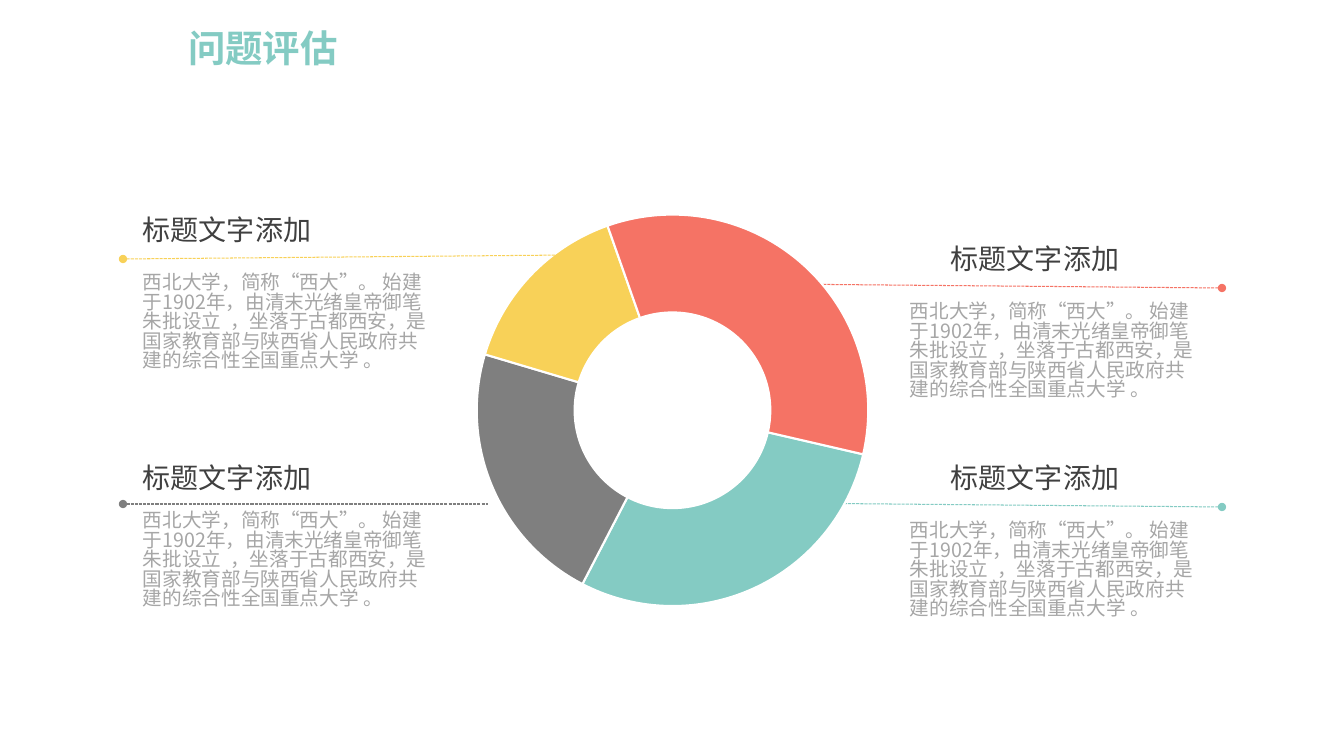
"""Build a slide with a doughnut chart and four labelled callouts."""
from dataclasses import dataclass

from lxml import etree
from pptx import Presentation
from pptx.chart.data import CategoryChartData
from pptx.dml.color import RGBColor
from pptx.enum.chart import XL_CHART_TYPE
from pptx.enum.dml import MSO_LINE
from pptx.enum.shapes import MSO_CONNECTOR
from pptx.enum.text import MSO_ANCHOR, MSO_AUTO_SIZE, PP_ALIGN
from pptx.oxml.ns import qn
from pptx.slide import Slide
from pptx.text.text import TextFrame
from pptx.util import Emu, Pt

RING = XL_CHART_TYPE.DOUGHNUT
DASH = MSO_LINE.SQUARE_DOT
LINE = MSO_CONNECTOR.STRAIGHT
TOP = MSO_ANCHOR.TOP
LEFT = PP_ALIGN.LEFT
GROW = MSO_AUTO_SIZE.SHAPE_TO_FIT_TEXT
SCALE = 914400 / 100.8


@dataclass(frozen=True)
class Theme:
    teal: str = "84CBC3"
    gray: str = "7F7F7F"
    gold: str = "F8D158"
    red: str = "F57365"
    dark: str = "404040"
    pale: str = "A6A6A6"
    ink: str = "333333"
    white: str = "FFFFFF"
    font: str = "Noto Sans CJK SC"
    label: str = "Calibri"
    title: float = 26.7
    head: float = 20
    body: float = 14
    small: float = 10
    rule: float = 0.75
    edge: float = 1.5


@dataclass(frozen=True)
class Box:
    x: int
    y: int
    w: int
    h: int


@dataclass(frozen=True)
class Style:
    size: float
    color: str
    pitch: float
    bold: bool = False


@dataclass(frozen=True)
class Note:
    color: str
    start: tuple[int, int]
    end: tuple[int, int]
    head: tuple[int, int]
    body: tuple[int, int]


@dataclass(frozen=True)
class Part:
    value: int
    color: str


THEME = Theme()
TITLE = Style(THEME.title, THEME.teal, 0.9, True)
HEAD = Style(THEME.head, THEME.dark, 0.9)
BODY = Style(THEME.body, THEME.pale, 0.83)
HEADING = "标题文字添加"
STORY = (
    "西北大学，简称“西大”。 始建于1902年，由清末光绪皇帝御笔朱批设立  ，"
    "坐落于古都西安，是国家教育部与陕西省人民政府共建的综合性全国重点大学 。"
)
RIGHT_NOTES = (
    Note(THEME.teal, (1222, 507), (774, 503), (941, 459), (900, 517)),
    Note(THEME.red, (1222, 288), (774, 284), (941, 240), (900, 298)),
)
LEFT_NOTES = (
    Note(THEME.gold, (123, 259), (571, 255), (133, 211), (133, 269)),
    Note(THEME.gray, (123, 504), (488, 504), (133, 459), (133, 507)),
)
PARTS = (
    Part(29, THEME.teal),
    Part(22, THEME.gray),
    Part(15, THEME.gold),
    Part(34, THEME.red),
)
FRAME = Box(356, 202, 633, 421)
PLOT = {"x": 0.19, "y": 0.03, "w": 0.62, "h": 0.93}


def px(num: int) -> Emu:
    """Turn pixels into EMU."""
    return Emu(round(num * SCALE))


def rgb(code: str) -> RGBColor:
    """Turn a hex code into a colour."""
    return RGBColor.from_string(code)


def span(box: Box) -> tuple[Emu, Emu, Emu, Emu]:
    """Give the place and size of a box in EMU."""
    return px(box.x), px(box.y), px(box.w), px(box.h)


def write(frame: TextFrame, text: str, style: Style) -> None:
    """Write one styled run into a text frame."""
    frame.word_wrap = True
    frame.vertical_anchor = TOP
    para = frame.paragraphs[0]
    para.alignment = LEFT
    para.line_spacing = style.pitch
    para.space_before = Pt(0)
    run = para.add_run()
    run.text = text
    font = run.font
    font.size = Pt(style.size)
    font.bold = style.bold
    font.name = THEME.font
    font.color.rgb = rgb(style.color)
    east = etree.SubElement(run._r.get_or_add_rPr(), qn("a:ea"))
    east.set("typeface", THEME.font)


def add_title(slide: Slide, text: str) -> None:
    """Place and fill the title."""
    title = slide.shapes.title
    title.left, title.top, title.width, title.height = span(Box(178, 25, 207, 65))
    title.text_frame.auto_size = MSO_AUTO_SIZE.NONE
    write(title.text_frame, text, TITLE)


def add_note(slide: Slide, note: Note) -> None:
    """Draw one callout as a group."""
    shapes = slide.shapes.add_group_shape().shapes
    rule = shapes.add_connector(LINE, *map(px, note.start + note.end))
    rule.line.color.rgb = rgb(note.color)
    rule.line.width = Pt(THEME.rule)
    rule.line.dash_style = DASH
    tip = etree.SubElement(rule.line._get_or_add_ln(), qn("a:headEnd"))
    tip.set("type", "oval")
    etree.SubElement(rule._element.spPr, qn("a:effectLst"))
    texts = (
        (Box(*note.head, 269, 44), HEADING, HEAD),
        (Box(*note.body, 311, 129), STORY, BODY),
    )
    for box, text, style in texts:
        frame = shapes.add_textbox(*span(box)).text_frame
        frame.auto_size = GROW
        write(frame, text, style)


def add_ring(slide: Slide) -> None:
    """Draw the doughnut chart."""
    data = CategoryChartData()
    data.categories = [str(num) for num in range(1, len(PARTS) + 1)]
    data.add_series("Series 1", [part.value for part in PARTS])
    chart = slide.shapes.add_chart(RING, *span(FRAME), data).chart
    chart.has_title = False
    chart.has_legend = False
    chart.font.name = THEME.label
    chart.font.size = Pt(THEME.small)
    chart.font.color.rgb = rgb(THEME.ink)
    for num, part in enumerate(PARTS):
        look = chart.plots[0].series[0].points[num].format
        look.fill.solid()
        look.fill.fore_color.rgb = rgb(part.color)
        look.line.color.rgb = rgb(THEME.white)
        look.line.width = Pt(THEME.edge)
    root = chart.element
    for tag, value in (("c:firstSliceAng", "103"), ("c:holeSize", "61")):
        next(root.iter(qn(tag))).set("val", value)
    area = next(root.iter(qn("c:plotArea")))
    for old in area.findall(qn("c:layout")):
        area.remove(old)
    layout = etree.Element(qn("c:layout"))
    area.insert(0, layout)
    manual = etree.SubElement(layout, qn("c:manualLayout"))
    modes = {"layoutTarget": "inner", "xMode": "edge", "yMode": "edge"}
    for name, value in (modes | PLOT).items():
        etree.SubElement(manual, qn(f"c:{name}")).set("val", str(value))


def main() -> None:
    """Build and save the slide."""
    deck = Presentation()
    deck.slide_width, deck.slide_height = px(1344), px(756)
    slide = deck.slides.add_slide(deck.slide_layouts[5])
    add_title(slide, "问题评估")
    for note in RIGHT_NOTES:
        add_note(slide, note)
    add_ring(slide)
    for note in LEFT_NOTES:
        add_note(slide, note)
    deck.save("out.pptx")


if __name__ == "__main__":
    main()
